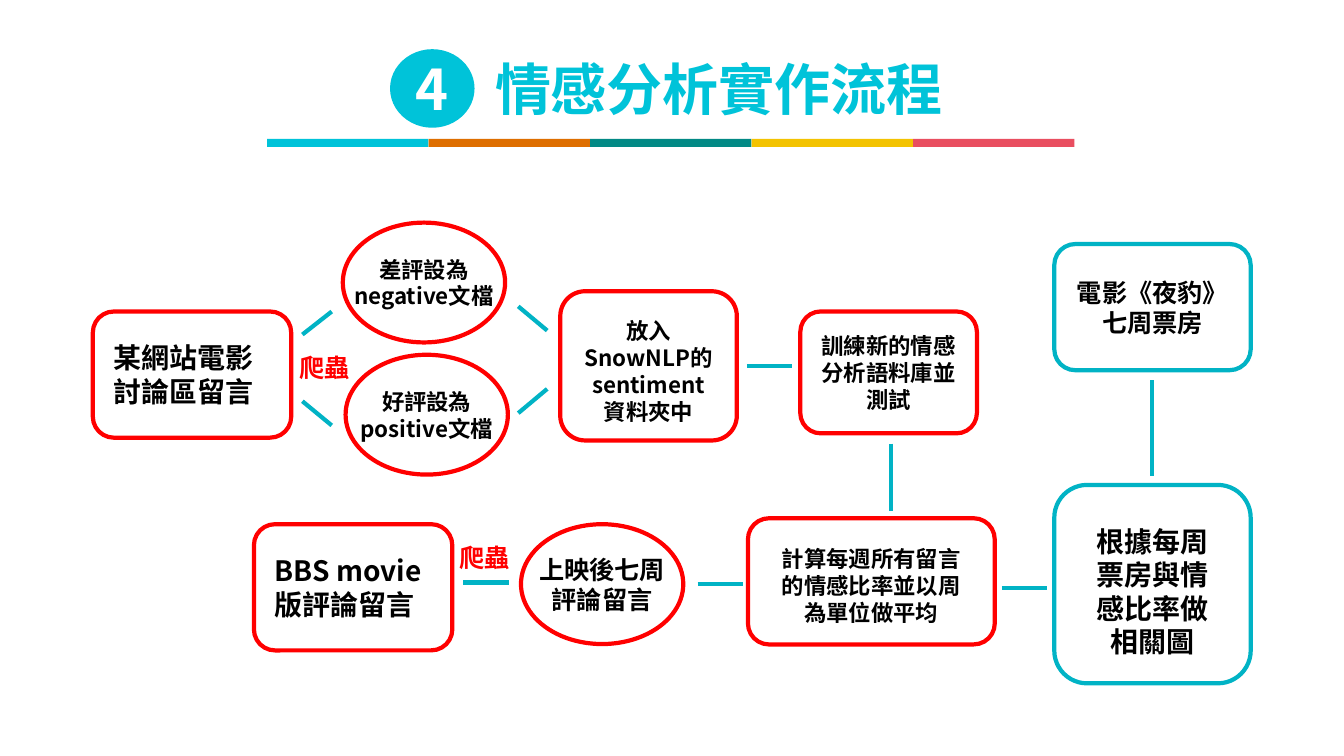
from lxml import etree
from pptx import Presentation
from pptx.dml.color import RGBColor
from pptx.enum.shapes import MSO_CONNECTOR, MSO_SHAPE
from pptx.enum.text import MSO_ANCHOR, PP_ALIGN
from pptx.oxml.ns import qn
from pptx.util import Cm, Pt

ROUND, OVAL, RECT = MSO_SHAPE.ROUNDED_RECTANGLE, MSO_SHAPE.OVAL, MSO_SHAPE.RECTANGLE
LINE = MSO_CONNECTOR.STRAIGHT
MID = MSO_ANCHOR.MIDDLE
LEFT, CENTER = PP_ALIGN.LEFT, PP_ALIGN.CENTER
CYAN = RGBColor(0x00, 0xC3, 0xD9)
ORANGE = RGBColor(0xDE, 0x6E, 0x00)
GREEN = RGBColor(0x02, 0x89, 0x85)
YELLOW = RGBColor(0xF3, 0xC3, 0x01)
PINK = RGBColor(0xE9, 0x4E, 0x60)
TEAL = RGBColor(0x01, 0xB3, 0xC5)
RED = RGBColor(0xFF, 0x00, 0x00)
BLACK = RGBColor(0x00, 0x00, 0x00)
WHITE = RGBColor(0xFF, 0xFF, 0xFF)
FONT = "Noto Sans CJK SC"


def write(frame, text, size, color, align=CENTER):
    frame.text = text
    for para in frame.paragraphs:
        para.alignment = align
        font = para.font
        font.size, font.bold, font.name = Pt(size), True, FONT
        font.color.rgb = color
        props = para._p.pPr.find(qn("a:defRPr"))
        etree.SubElement(props, qn("a:ea"), typeface=FONT)


def draw(kind, box, fill=None, edge=None):
    shape = slide.shapes.add_shape(kind, *map(Cm, box))
    shape.shadow.inherit = False
    if fill is None:
        shape.fill.background()
    else:
        shape.fill.solid()
        shape.fill.fore_color.rgb = fill
    if edge is None:
        shape.line.fill.background()
    else:
        shape.line.color.rgb = edge
        shape.line.width = Pt(3)
    return shape


deck = Presentation()
deck.slide_width, deck.slide_height = Cm(33.87), Cm(19.05)
slide = deck.slides.add_slide(deck.slide_layouts[5])

# Title with its number and colour bar
title = slide.shapes.title
title.left, title.top, title.width, title.height = map(Cm, (12.22, 1.27, 11.79, 1.88))
write(title.text_frame, "情感分析實作流程", 40, CYAN)
title.text_frame.word_wrap = False
title.text_frame.vertical_anchor = MID

badge = draw(OVAL, (9.83, 1.24, 2.13, 1.98), fill=CYAN)
write(badge.text_frame, "4", 40, WHITE)
badge.text_frame.word_wrap = False
for i, color in enumerate((CYAN, ORANGE, GREEN, YELLOW, PINK)):
    draw(RECT, (6.73 + i * 4.07, 3.5, 4.07, 0.2), fill=color)

# Boxes: place, edge, text, size, alignment, side margin, text drop
boxes = [
    ((2.34, 7.85, 5, 3.18), RED, "某網站電影討論區留言", 20, LEFT, 0.37, 0),
    ((6.4, 13.21, 5, 3.18), RED, "BBS movie版評論留言", 20, LEFT, 0.37, 0),
    ((14.12, 7.34, 4.45, 3.76), RED, "放入SnowNLP的sentiment\n資料夾中", 16, CENTER, 0.26, 0.13),
    ((20.17, 7.85, 4.45, 3.07), RED, "訓練新的情感分析語料庫並測試", 16, CENTER, 0.25, 0),
    ((18.85, 13.06, 6.22, 3.18), RED, "計算每週所有留言的情感比率並以周為單位做平均", 16, CENTER, 0.57, 0.1),
    ((26.57, 6.15, 4.95, 3.18), TEAL, "電影《夜豹》七周票房", 18, CENTER, 0.37, 0),
    ((26.57, 12.22, 4.95, 5), TEAL, "根據每周票房與情感比率做相關圖", 20, CENTER, 0.8, 0.18),
]
for box, edge, text, size, align, side, drop in boxes:
    frame = draw(ROUND, box, edge=edge).text_frame
    frame.margin_left = frame.margin_right = Cm(side)
    frame.margin_top, frame.margin_bottom = Cm(2 * drop), 0
    frame.word_wrap = True
    frame.vertical_anchor = MID
    write(frame, text, size, BLACK, align)

# Ovals: left, top, text, size
ovals = [
    (8.64, 5.61, "差評設為\vnegative文檔", 16),
    (8.71, 8.94, "好評設為\vpositive文檔", 16),
    (13.13, 13.21, "上映後七周\v評論留言", 18),
]
for x, y, text, size in ovals:
    frame = draw(OVAL, (x, y, 4.09, 3.02), edge=RED).text_frame
    frame.word_wrap = False
    frame.vertical_anchor = MID
    write(frame, text, size, BLACK)

# Crawler labels
for x, y in ((7.29, 8.76), (11.33, 13.54)):
    label = slide.shapes.add_textbox(Cm(x), Cm(y), Cm(1.9), Cm(1.02))
    label.text_frame.word_wrap = True
    write(label.text_frame, "爬蟲", 18, RED, LEFT)

# Links between steps, with a gap at each end
links = [
    (7.62, 8.43, 8.36, 7.85),
    (7.62, 10.11, 8.36, 10.72),
    (13.06, 7.72, 13.79, 8.33),
    (13.06, 10.41, 13.79, 9.8),
    (18.82, 9.22, 19.96, 9.22),
    (22.45, 11.18, 22.45, 12.88),
    (11.68, 14.68, 12.83, 14.68),
    (17.58, 14.72, 18.72, 14.72),
    (25.25, 14.81, 26.39, 14.81),
    (29.03, 9.58, 29.03, 11.99),
]
for ends in links:
    link = slide.shapes.add_connector(LINE, *map(Cm, ends))
    link.line.color.rgb = TEAL
    link.line.width = Pt(3)
    etree.SubElement(link._element.spPr, qn("a:effectLst"))

deck.save("out.pptx")
